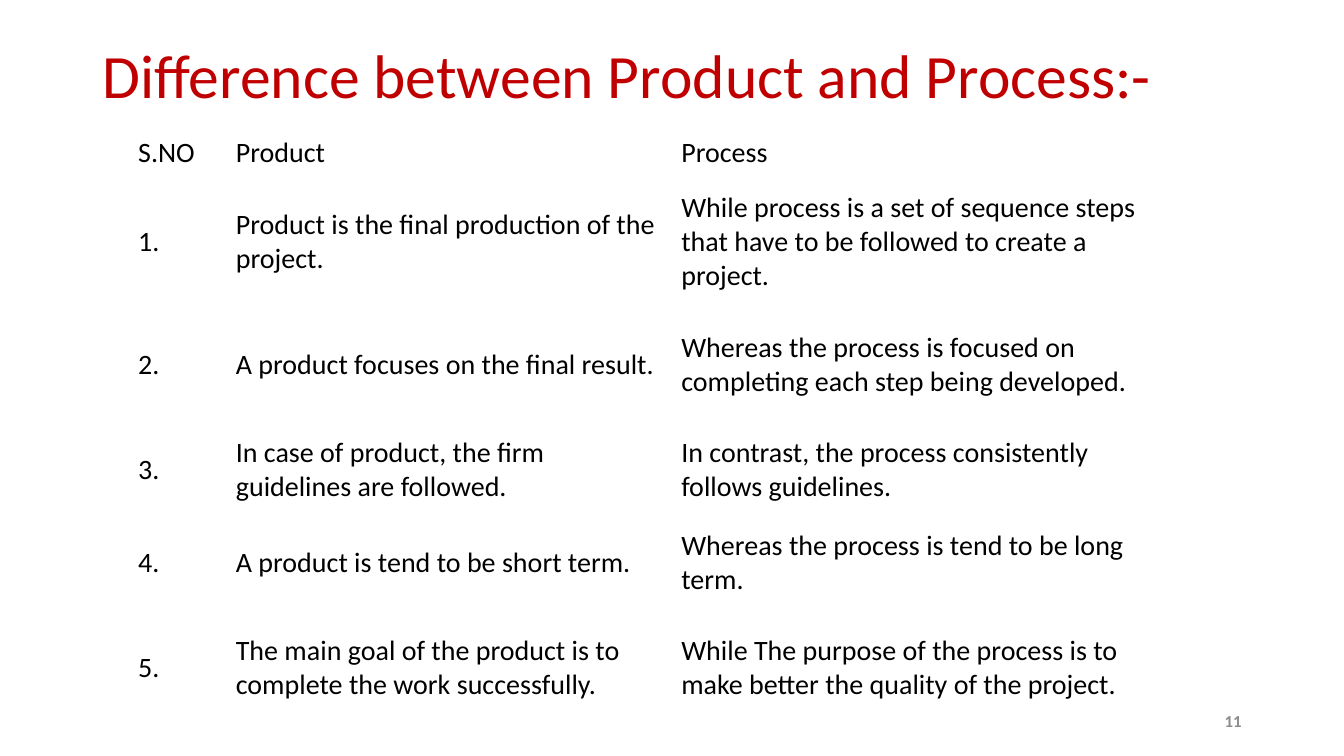
"""Builds a slide that compares product and process in a table."""
from dataclasses import dataclass

from pptx import Presentation
from pptx.dml.color import RGBColor
from pptx.enum import text
from pptx.util import Pt


@dataclass(frozen=True)
class Theme:
    """Colours, font and type sizes."""
    font: str = "Calibri"
    title: str = "C00000"
    body: str = "000000"
    muted: str = "8C8C8C"
    paper: str = "FFFFFF"
    title_size: int = 44
    body_size: int = 20
    number_size: int = 12


def write(tf, words, font, size, color, bold=False, align=text.PP_ALIGN.LEFT, spacing=1.0):
    """Put one formatted paragraph into a text frame."""
    tf.word_wrap = True
    p = tf.paragraphs[0]
    p.alignment = align
    p.line_spacing = spacing
    r = p.add_run()
    r.text = words
    r.font.name = font
    r.font.size = Pt(size)
    r.font.bold = bold
    r.font.color.rgb = RGBColor.from_string(color)


class Deck:
    """Holds the theme and the current slide."""

    def __init__(self, prs, theme):
        """Add a title-only slide."""
        self.theme = theme
        self.s = prs.slides.add_slide(prs.slide_layouts[5])

    def title(self, words, left, top, width, height):
        """Move and fill the title placeholder."""
        t = self.theme
        sp = self.s.shapes.title
        sp.left, sp.top, sp.width, sp.height = map(Pt, (left, top, width, height))
        tf = sp.text_frame
        tf.auto_size = text.MSO_AUTO_SIZE.NONE
        tf.vertical_anchor = text.MSO_ANCHOR.MIDDLE
        write(tf, words, t.font, t.title_size, t.title, spacing=0.9)

    def table(self, rows, left, top, widths, heights):
        """Add a plain table with a tighter header row."""
        t = self.theme
        box = map(Pt, (left, top, sum(widths), sum(heights)))
        tbl = self.s.shapes.add_table(len(rows), len(widths), *box).table
        tbl.first_row = tbl.horz_banding = False
        for col, width in zip(tbl.columns, widths):
            col.width = Pt(width)
        for i, (row, height) in enumerate(zip(rows, heights)):
            tbl.rows[i].height = Pt(height)
            for j, words in enumerate(row):
                cell = tbl.cell(i, j)
                cell.fill.solid()
                cell.fill.fore_color.rgb = RGBColor.from_string(t.paper)
                cell.vertical_anchor = text.MSO_ANCHOR.MIDDLE
                cell.margin_left = cell.margin_right = Pt(5.8)
                cell.margin_top = cell.margin_bottom = Pt(8.7 if i else 5.8)
                write(cell.text_frame, words, t.font, t.body_size, t.body)

    def page_number(self, words, left, top, width, height):
        """Add the slide number at the lower right."""
        t = self.theme
        sp = self.s.shapes.add_textbox(*map(Pt, (left, top, width, height)))
        tf = sp.text_frame
        tf.vertical_anchor = text.MSO_ANCHOR.MIDDLE
        write(tf, words, t.font, t.number_size, t.muted, bold=True, align=text.PP_ALIGN.RIGHT)


HEADER = ("S.NO", "Product", "Process")
DIFFERENCES = [
    ("Product is the final production of the project.",
     "While process is a set of sequence steps that have to be followed to create a project."),
    ("A product focuses on the final result.",
     "Whereas the process is focused on completing each step being developed."),
    ("In case of product, the firm guidelines are followed.",
     "In contrast, the process consistently follows guidelines."),
    ("A product is tend to be short term.",
     "Whereas the process is tend to be long term."),
    ("The main goal of the product is to complete the work successfully.",
     "While The purpose of the process is to make better the quality of the project."),
]
TALL, SHORT = 84.2, 60.5

prs = Presentation()
prs.slide_width, prs.slide_height = Pt(960), Pt(540)
deck = Deck(prs, Theme())
deck.title("Difference between Product and Process:-", 66, 28.8, 828, 54)
rows = [HEADER] + [(f"{n}.", *pair) for n, pair in enumerate(DIFFERENCES, 1)]
deck.table(rows, 92.9, 91.4, (69.8, 318.2, 340.6), (33.1, TALL, TALL, SHORT, SHORT, TALL))
deck.page_number("11", 838.8, 500.4, 55.2, 28.8)
prs.save("out.pptx")
